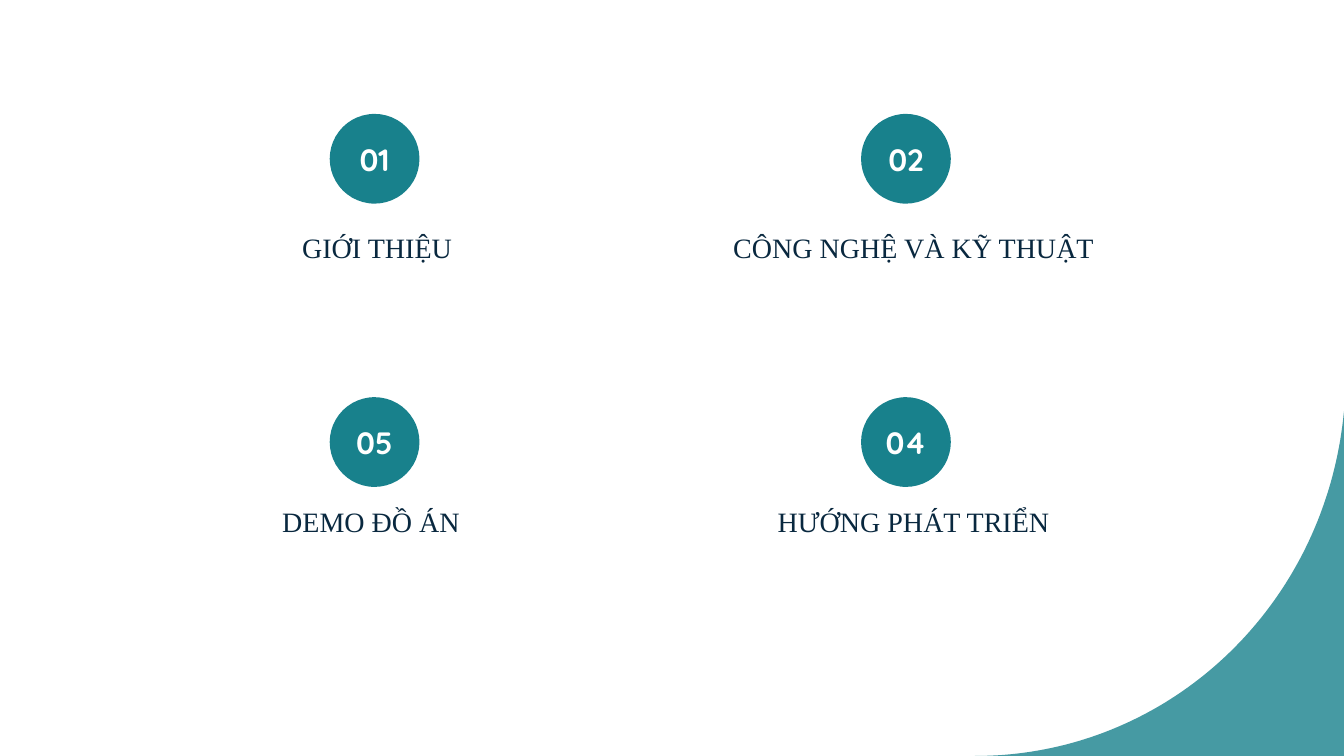
from lxml import etree
from pptx import Presentation
from pptx.dml.color import RGBColor
from pptx.enum.shapes import MSO_SHAPE
from pptx.enum.text import MSO_ANCHOR, PP_ALIGN
from pptx.oxml.ns import qn
from pptx.util import Inches, Pt

OVAL = MSO_SHAPE.OVAL
MIDDLE = MSO_ANCHOR.MIDDLE
CENTER = PP_ALIGN.CENTER
TEAL = RGBColor(0x18, 0x81, 0x8C)
NAVY = RGBColor(0x09, 0x28, 0x3F)
WHITE = RGBColor(0xFF, 0xFF, 0xFF)
COLS = (3.27, 8.54)
ROWS = (1.13, 3.94)
DISC = 0.89
ITEMS = (
    (0, 0, "01", "GI\u1edaI THI\u1ec6U", 1.55, 2.16),
    (1, 0, "02", "C\u00d4NG NGH\u00ca\u0323 VA\u0300 KY\u0303 THU\u00c2\u0323T", 6.87, 2.16),
    (0, 1, "05", "DEMO \u0110\u00d4\u0300 A\u0301N", 1.49, 4.87),
    (1, 1, "04", "H\u01af\u01a0\u0301NG PHA\u0301T TRI\u00ca\u0309N", 6.87, 4.87),
)


def paint(shape):
    """Give a shape a plain teal fill with no line or shadow."""
    shape.shadow.inherit = False
    shape.fill.solid()
    shape.fill.fore_color.rgb = TEAL
    shape.line.fill.background()


def write(shape, text, font, size, color, bold=False):
    """Set one centred line of text in a shape."""
    frame = shape.text_frame
    frame.text = text
    frame.word_wrap = True
    frame.vertical_anchor = MIDDLE
    frame.margin_left = frame.margin_right = Inches(0.1)
    frame.margin_top = frame.margin_bottom = Inches(0.1)
    para = frame.paragraphs[0]
    para.alignment = CENTER
    style = para.runs[0].font
    style.name, style.size, style.bold = font, Pt(size), bold
    style.color.rgb = color
    return para


def add_corner(slide, left, top, width, height):
    """Draw the translucent corner with its concave curve in a box."""
    knots = ((0, height), (1.91, height), (3.48, 1.94), (width, 0))
    steps = 80
    points = []
    for step in range(steps + 1):
        t = step / steps
        parts = ((1 - t) ** 3, 3 * t * (1 - t) ** 2, 3 * t * t * (1 - t), t ** 3)
        x, y = (sum(p * k[axis] for p, k in zip(parts, knots)) for axis in (0, 1))
        points.append((Inches(left + x), Inches(top + y)))
    points.append((Inches(left + width), Inches(top + height)))
    pen = slide.shapes.build_freeform(*points[0])
    pen.add_line_segments(points[1:], close=True)
    shape = pen.convert_to_shape()
    paint(shape)
    color = shape.fill._xPr.find(".//" + qn("a:srgbClr"))
    etree.SubElement(color, qn("a:alpha"), val="80000")


def add_disc(slide, left, top, size, number):
    """Draw a numbered disc."""
    disc = slide.shapes.add_shape(OVAL, *map(Inches, (left, top, size, size)))
    paint(disc)
    write(disc, number, "Quicksand", 22, WHITE, True)


def add_label(slide, left, top, width, height, text):
    """Place a section name in a box."""
    box = slide.shapes.add_textbox(*map(Inches, (left, top, width, height)))
    para = write(box, text, "Times New Roman", 20, NAVY)
    para.line_spacing = 1.2


def add_agenda(slide):
    """Lay out the discs on their grid, each with its label."""
    for col, row, number, text, left, top in ITEMS:
        add_disc(slide, COLS[col], ROWS[row], DISC, number)
        add_label(slide, left, top, 4.38, 0.53, text)


def main():
    """Build and save the agenda slide."""
    deck = Presentation()
    deck.slide_width, deck.slide_height = Inches(13.33), Inches(7.5)
    slide = deck.slides.add_slide(deck.slide_layouts[6])
    slide.background.fill.solid()
    slide.background.fill.fore_color.rgb = WHITE
    add_corner(slide, 9.67, 4.08, 3.66, 3.42)
    add_agenda(slide)
    deck.save("out.pptx")


main()
